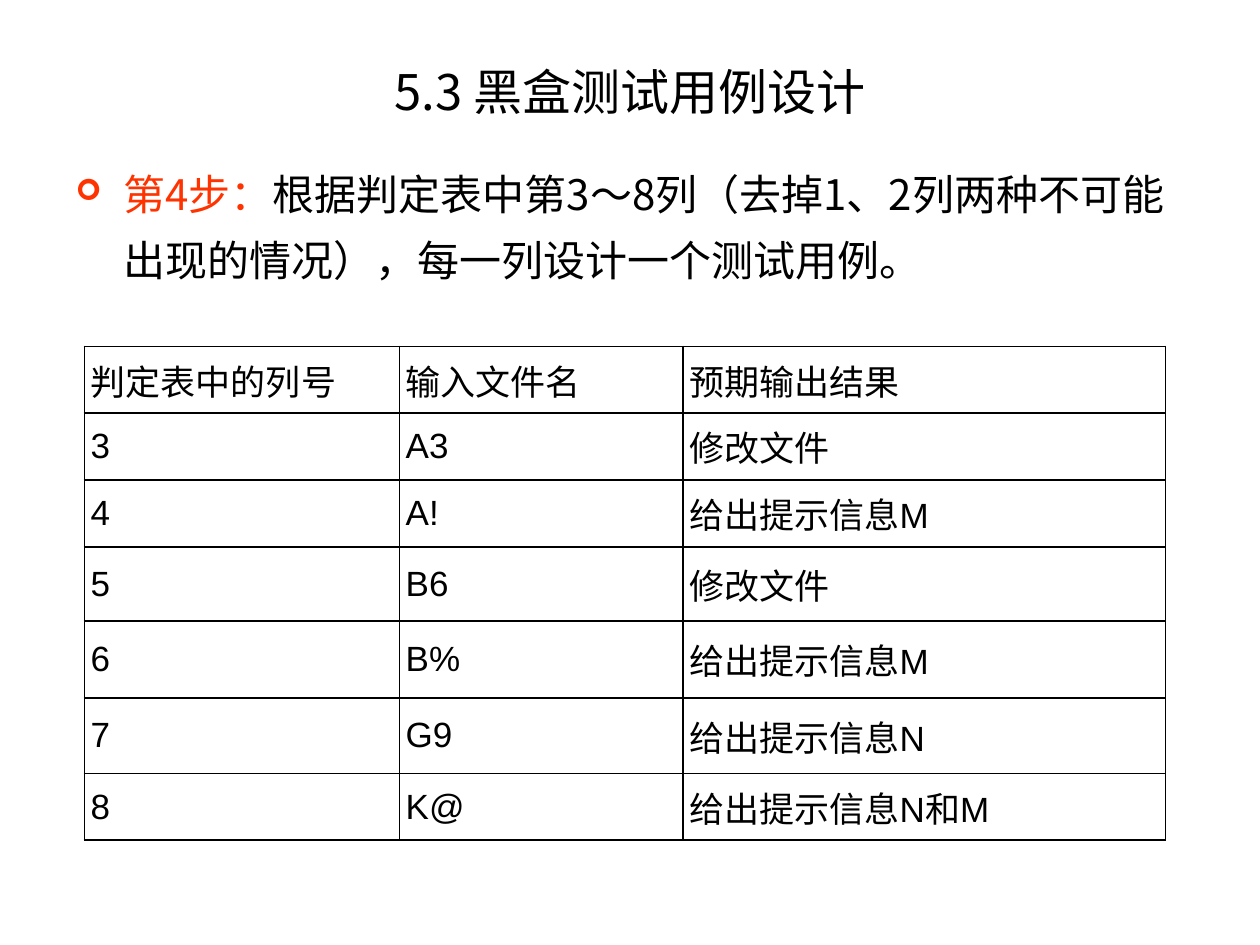
import pptx
import pptx.util
import pptx.dml.color
import pptx.enum.text
import lxml.etree

Inches, Pt = pptx.util.Inches, pptx.util.Pt
Align, Anchor = pptx.enum.text.PP_ALIGN, pptx.enum.text.MSO_ANCHOR
NS = "http://schemas.openxmlformats.org/drawingml/2006/main"
HAN = "Noto Sans CJK SC"
COLORS = {"text": "000000", "step": "FF3300"}


def add_xml(node, text):
    node.append(lxml.etree.fromstring(text.replace(" ", f' xmlns:a="{NS}" ', 1)))


def add_run(para, text, size, color="text", font=HAN):
    run = para.add_run()
    run.text = text
    for name, value in {"size": Pt(size), "bold": False, "name": font}.items():
        setattr(run.font, name, value)
    run.font.color.rgb = pptx.dml.color.RGBColor.from_string(COLORS[color])
    add_xml(run.font._element, f'<a:ea typeface="{HAN}"/>')


deck = pptx.Presentation()
deck.slide_width, deck.slide_height = Inches(10), Inches(7.5)
slide = deck.slides.add_slide(deck.slide_layouts[1])
title, body = slide.placeholders

# Placeholder frames
for shape, top, height, anchor in [(title, 0.33, 0.78, Anchor.MIDDLE),
                                   (body, 1.17, 3.17, Anchor.TOP)]:
    place = {"left": 0.5, "top": top, "width": 9, "height": height}
    for name, value in place.items():
        setattr(shape, name, Inches(value))
    frame = {"word_wrap": True, "vertical_anchor": anchor,
             "auto_size": pptx.enum.text.MSO_AUTO_SIZE.NONE}
    for name, value in frame.items():
        setattr(shape.text_frame, name, value)

# Title
head = title.text_frame.paragraphs[0]
head.alignment = Align.CENTER
add_run(head, "5.3 黑盒测试用例设计", 28)

# Step with an arrow bullet
step = body.text_frame.paragraphs[0]
step.line_spacing, step.space_before = 1.3, Pt(15)
props = step._p.get_or_add_pPr()
props.set("marL", str(Inches(0.38)))
props.set("indent", str(Inches(-0.38)))
for mark in [f'<a:buClr ><a:srgbClr val="{COLORS["step"]}"/></a:buClr>',
             '<a:buSzPct val="70000"/>',
             '<a:buFont typeface="Wingdings"/>',
             '<a:buChar char="➢"/>']:
    add_xml(props, mark)
for text, color, font in [
        ("第4步：", "step", HAN),
        ("根据判定表中第3", "text", HAN),
        ("～", "text", "Arial"),
        ("8列（去掉1、2列两种不可能出现的情况），每一列设计一个测试用例。", "text", HAN)]:
    add_run(step, text, 24, color, font)

# Test case table
ROWS = [("判定表中的列号", "输入文件名", "预期输出结果"),
        ("3", "A3", "修改文件"),
        ("4", "A!", "给出提示信息M"),
        ("5", "B6", "修改文件"),
        ("6", "B%", "给出提示信息M"),
        ("7", "G9", "给出提示信息N"),
        ("8", "K@", "给出提示信息N和M")]
WIDTHS = [2.5, 2.25, 3.83]
HEIGHTS = [0.53, 0.53, 0.53, 0.59, 0.61, 0.6, 0.53]
table = slide.shapes.add_table(len(ROWS), len(WIDTHS), Inches(0.67), Inches(2.75),
                               Inches(sum(WIDTHS)), Inches(sum(HEIGHTS))).table
table.first_row = table.horz_banding = False
for col, width in zip(table.columns, WIDTHS):
    col.width = Inches(width)
for row, height, texts in zip(table.rows, HEIGHTS, ROWS):
    row.height = Inches(height)
    for cell, text in zip(row.cells, texts):
        for side in ("left", "right", "top", "bottom"):
            setattr(cell, "margin_" + side, Inches(0.05))
        cell.vertical_anchor = Anchor.MIDDLE
        for side in "LRTB":
            add_xml(cell._tc.get_or_add_tcPr(),
                    f'<a:ln{side} w="{Pt(1.08)}"><a:solidFill>'
                    f'<a:srgbClr val="{COLORS["text"]}"/></a:solidFill></a:ln{side}>')
        cell.fill.background()
        para = cell.text_frame.paragraphs[0]
        para.space_before = Pt(5)
        add_run(para, text, 20, font="Arial")

deck.save("out.pptx")
